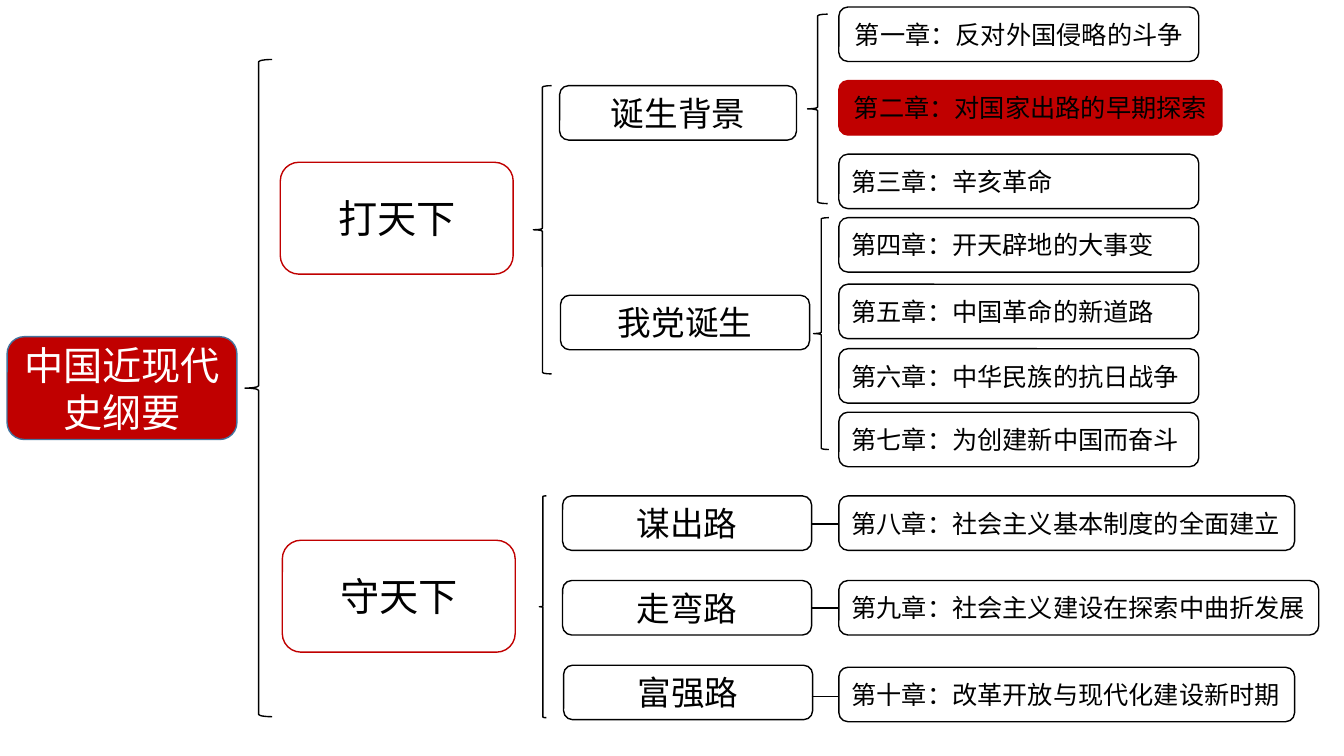
from lxml import etree
from pptx import Presentation
from pptx.dml.color import RGBColor
from pptx.enum.shapes import MSO_CONNECTOR, MSO_SHAPE
from pptx.enum.text import MSO_ANCHOR, PP_ALIGN
from pptx.oxml.ns import qn
from pptx.util import Inches, Pt

ROUNDED = MSO_SHAPE.ROUNDED_RECTANGLE
BRACE = MSO_SHAPE.LEFT_BRACE
STRAIGHT = MSO_CONNECTOR.STRAIGHT
MIDDLE = MSO_ANCHOR.MIDDLE
LEFT, CENTER = PP_ALIGN.LEFT, PP_ALIGN.CENTER

FONT = "Noto Sans CJK SC"
RED, BLACK, WHITE, BLUE = "C00000", "000000", "FFFFFF", "43739E"
BOX_HEIGHT = 0.54
CHAPTER_LEFT = 8.32

# left, top, width, height
BRACES = [
    (2.43, 0.59, 0.27, 6.52),
    (5.29, 0.85, 0.18, 2.86),
    (5.35, 4.92, 0.07, 2.2),
    (8.01, 0.14, 0.2, 1.88),
    (8.07, 2.16, 0.15, 2.3),
]
# text, left, top
STAGES = [("打天下", 2.78, 1.61), ("守天下", 2.8, 5.36)]
# text, left, top, width
TOPICS = [
    ("诞生背景", 5.55, 0.85, 2.35),
    ("我党诞生", 5.56, 2.93, 2.47),
    ("谋出路", 5.58, 4.92, 2.47),
    ("走弯路", 5.58, 5.76, 2.47),
    ("富强路", 5.59, 6.6, 2.47),
]
# text, top, width, alignment, fill, line
CHAPTERS = [
    ("第一章：反对外国侵略的斗争", 0.07, 3.57, CENTER, WHITE, BLACK),
    ("第二章：对国家出路的早期探索", 0.8, 3.8, CENTER, RED, RED),
    ("第三章：辛亥革命", 1.53, 3.57, LEFT, WHITE, BLACK),
    ("第四章：开天辟地的大事变", 2.16, 3.57, LEFT, WHITE, BLACK),
    ("第五章：中国革命的新道路", 2.82, 3.57, LEFT, WHITE, BLACK),
    ("第六章：中华民族的抗日战争", 3.46, 3.57, LEFT, WHITE, BLACK),
    ("第七章：为创建新中国而奋斗", 4.09, 3.57, LEFT, WHITE, BLACK),
    ("第八章：社会主义基本制度的全面建立", 4.92, 4.52, LEFT, WHITE, BLACK),
    ("第九章：社会主义建设在探索中曲折发展", 5.76, 4.76, LEFT, WHITE, BLACK),
    ("第十章：改革开放与现代化建设新时期", 6.62, 4.52, LEFT, WHITE, BLACK),
]
LINK_LEFT = 8.05
LINK_HEIGHTS = [5.2, 6.03, 6.91]


def color(hex_text):
    return RGBColor.from_string(hex_text)


def style_line(line, hex_text):
    line.color.rgb = color(hex_text)
    line.width = Pt(1)


def add_box(slide, text, position, size, fill=WHITE, line=BLACK,
            text_color=BLACK, alignment=CENTER):
    shape = slide.shapes.add_shape(ROUNDED, *map(Inches, position))
    shape.shadow.inherit = False
    shape.fill.solid()
    shape.fill.fore_color.rgb = color(fill)
    style_line(shape.line, line)
    frame = shape.text_frame
    frame.word_wrap = True
    frame.vertical_anchor = MIDDLE
    paragraph = frame.paragraphs[0]
    paragraph.alignment = alignment
    run = paragraph.add_run()
    run.text = text
    run.font.size = Pt(size)
    run.font.color.rgb = color(text_color)
    run.font.name = FONT
    # Chinese characters take their font from the East Asian element
    east_asian = etree.SubElement(run.font._element, qn("a:ea"))
    east_asian.set("typeface", FONT)


def add_brace(slide, position):
    shape = slide.shapes.add_shape(BRACE, *map(Inches, position))
    shape.shadow.inherit = False
    shape.fill.background()
    style_line(shape.line, BLACK)


def add_link(slide, top):
    connector = slide.shapes.add_connector(
        STRAIGHT, Inches(LINK_LEFT), Inches(top), Inches(CHAPTER_LEFT), Inches(top))
    style_line(connector.line, BLACK)
    etree.SubElement(connector._element.spPr, qn("a:effectLst"))


def main():
    presentation = Presentation()
    presentation.slide_width = Inches(13.33)
    presentation.slide_height = Inches(7.5)
    slide = presentation.slides.add_slide(presentation.slide_layouts[6])
    slide.background.fill.solid()
    slide.background.fill.fore_color.rgb = color(WHITE)

    add_box(slide, "中国近现代史纲要", (0.07, 3.34, 2.28, 1.02), 28,
            fill=RED, line=BLUE, text_color=WHITE)
    for position in BRACES:
        add_brace(slide, position)
    for text, left, top in STAGES:
        add_box(slide, text, (left, top, 2.31, 1.11), 28, line=RED)
    for text, left, top, width in TOPICS:
        add_box(slide, text, (left, top, width, BOX_HEIGHT), 24)
    for top in LINK_HEIGHTS:
        add_link(slide, top)
    for text, top, width, alignment, fill, line in CHAPTERS:
        add_box(slide, text, (CHAPTER_LEFT, top, width, BOX_HEIGHT), 18,
                fill=fill, line=line, alignment=alignment)
    presentation.save("out.pptx")


if __name__ == "__main__":
    main()
